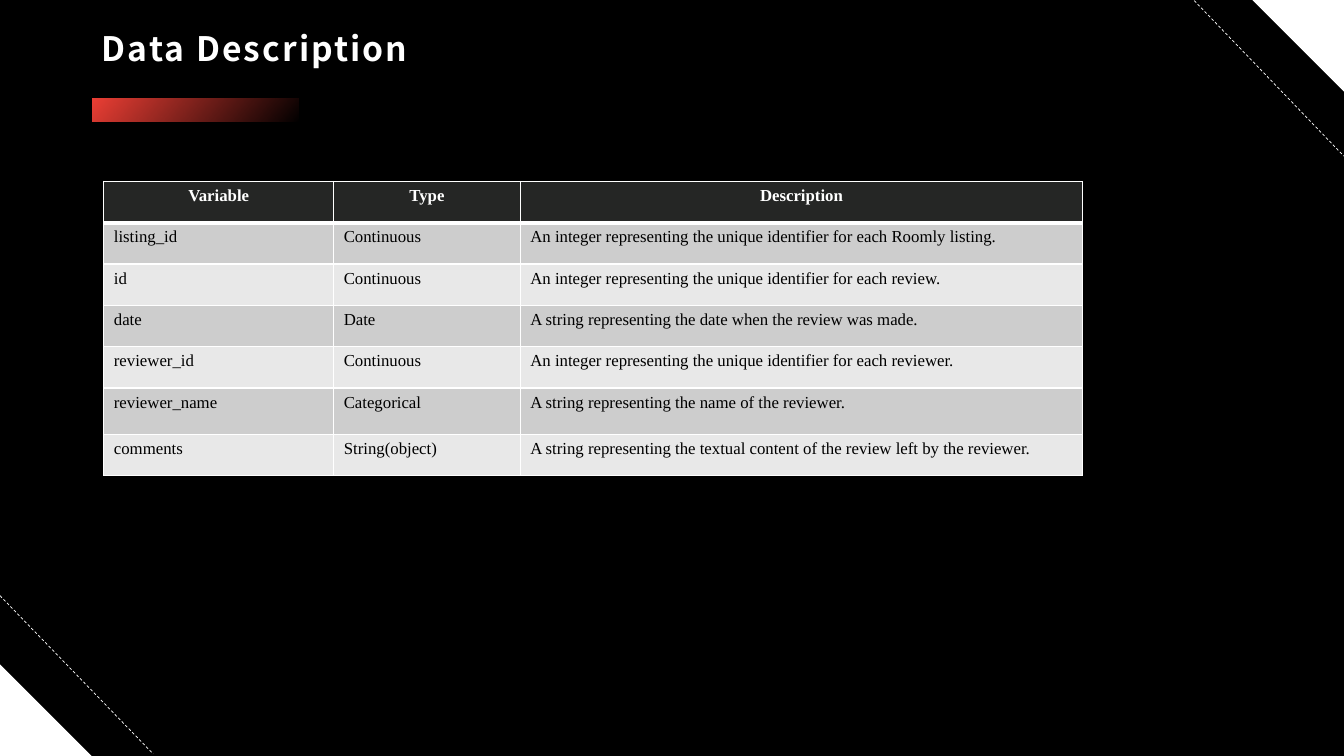
from lxml.etree import SubElement
from pptx import Presentation
from pptx.dml.color import RGBColor
from pptx.enum.dml import MSO_LINE
from pptx.enum.shapes import MSO_CONNECTOR, MSO_SHAPE
from pptx.enum.text import MSO_ANCHOR, PP_ALIGN
from pptx.oxml.ns import qn
from pptx.util import Inches, Pt

TITLE = "Data Description"
ROWS = [
    ("Variable", "Type", "Description"),
    ("listing_id", "Continuous", "An integer representing the unique identifier for each Roomly listing."),
    ("id", "Continuous", "An integer representing the unique identifier for each review."),
    ("date", "Date", "A string representing the date when the review was made."),
    ("reviewer_id", "Continuous", "An integer representing the unique identifier for each reviewer."),
    ("reviewer_name", "Categorical", "A string representing the name of the reviewer."),
    ("comments", "String(object)", "A string representing the textual content of the review left by the reviewer."),
]
COL_WIDTHS = [2.28, 1.85, 5.58]
ROW_HEIGHTS = [0.41] * 5 + [0.46, 0.41]
TITLE_FONT, TABLE_FONT = "Noto Sans CJK TC", "Times New Roman"
COLORS = {"black": "000000", "white": "FFFFFF", "red": "EE4036",
          "header": "252625", "odd": "CDCDCD", "even": "E8E8E8"}
WIDTH, HEIGHT, CORNER = 13.33, 7.5, 0.91
CORNERS = [(0, HEIGHT - CORNER, 0), (WIDTH - CORNER, 0, 180)]  # left, top, rotation
DASHES = [(0, 5.91, 1.52, 7.48), (11.81, -0.03, 13.33, 1.55)]


def rgb(name):
    return RGBColor.from_string(COLORS[name])


def add_text(p, text, font, size, color, bold):
    r = p.add_run()
    r.text = text
    r.font.name, r.font.size, r.font.bold = font, Pt(size), bold
    r.font.color.rgb = rgb(color)
    return r


def add_plain_shape(shapes, kind, left, top, width, height):
    """Add a preset shape with neither shadow nor outline."""
    s = shapes.add_shape(kind, Inches(left), Inches(top), Inches(width), Inches(height))
    s.shadow.inherit = False
    s.line.fill.background()
    return s


def add_corners(shapes):
    for left, top, rotation in CORNERS:
        s = add_plain_shape(shapes, MSO_SHAPE.RIGHT_TRIANGLE, left, top, CORNER, CORNER)
        s.rotation = rotation
        s.fill.solid()
        s.fill.fore_color.rgb = rgb("white")
    for ends in DASHES:
        line = shapes.add_connector(MSO_CONNECTOR.STRAIGHT, *map(Inches, ends))
        line.line.color.rgb = rgb("white")
        line.line.width = Pt(0.5)
        line.line.dash_style = MSO_LINE.DASH
        SubElement(line._element.spPr, qn("a:effectLst"))


def add_accent_bar(shapes):
    """Add the red bar that fades out to the right."""
    bar = add_plain_shape(shapes, MSO_SHAPE.RECTANGLE, 0.92, 0.98, 2.04, 0.23)
    bar.fill.gradient()
    bar.fill.gradient_angle = 320
    for stop in bar.fill.gradient_stops:
        stop.color.rgb = rgb("red")
    last_color = bar._element.spPr.findall(".//" + qn("a:srgbClr"))[-1]
    SubElement(last_color, qn("a:alpha"), val="0")


def set_borders(cell, top, bottom):
    tcPr = cell._tc.get_or_add_tcPr()
    for side, points in (("L", 1), ("R", 1), ("T", top), ("B", bottom)):
        ln = SubElement(tcPr, qn(f"a:ln{side}"), w=str(Pt(points)))
        fill = SubElement(ln, qn("a:solidFill"))
        SubElement(fill, qn("a:srgbClr"), val=COLORS["white"])


def add_variable_table(shapes):
    table = shapes.add_table(len(ROWS), len(COL_WIDTHS), Inches(1.03), Inches(1.8),
                             Inches(sum(COL_WIDTHS)), Inches(sum(ROW_HEIGHTS))).table
    for column, width in zip(table.columns, COL_WIDTHS):
        column.width = Inches(width)
    for i, (row, height, texts) in enumerate(zip(table.rows, ROW_HEIGHTS, ROWS)):
        row.height = Inches(height)
        header = i == 0
        fill = "header" if header else "odd" if i % 2 else "even"
        for cell, text in zip(row.cells, texts):
            set_borders(cell, top=3 if i == 1 else 1, bottom=3 if header else 1)
            cell.fill.solid()
            cell.fill.fore_color.rgb = rgb(fill)
            p = cell.text_frame.paragraphs[0]
            p.alignment = PP_ALIGN.CENTER if header else PP_ALIGN.LEFT
            add_text(p, text, TABLE_FONT, 12, "white" if header else "black", header)


def set_title(title):
    title.left, title.top = Inches(0.91), Inches(0.18)
    title.width, title.height = Inches(11.51), Inches(0.64)
    title.text_frame.vertical_anchor = MSO_ANCHOR.MIDDLE
    p = title.text_frame.paragraphs[0]
    p.alignment = PP_ALIGN.LEFT
    p.line_spacing = 0.9
    r = add_text(p, TITLE, TITLE_FONT, 24, "white", True)
    r.font._element.set("spc", "150")


def main():
    prs = Presentation()
    prs.slide_width, prs.slide_height = Inches(WIDTH), Inches(HEIGHT)
    slide = prs.slides.add_slide(prs.slide_layouts[5])
    slide.background.fill.solid()
    slide.background.fill.fore_color.rgb = rgb("black")
    add_corners(slide.shapes)
    add_accent_bar(slide.shapes)
    set_title(slide.shapes.title)
    add_variable_table(slide.shapes)
    prs.save("out.pptx")


if __name__ == "__main__":
    main()
